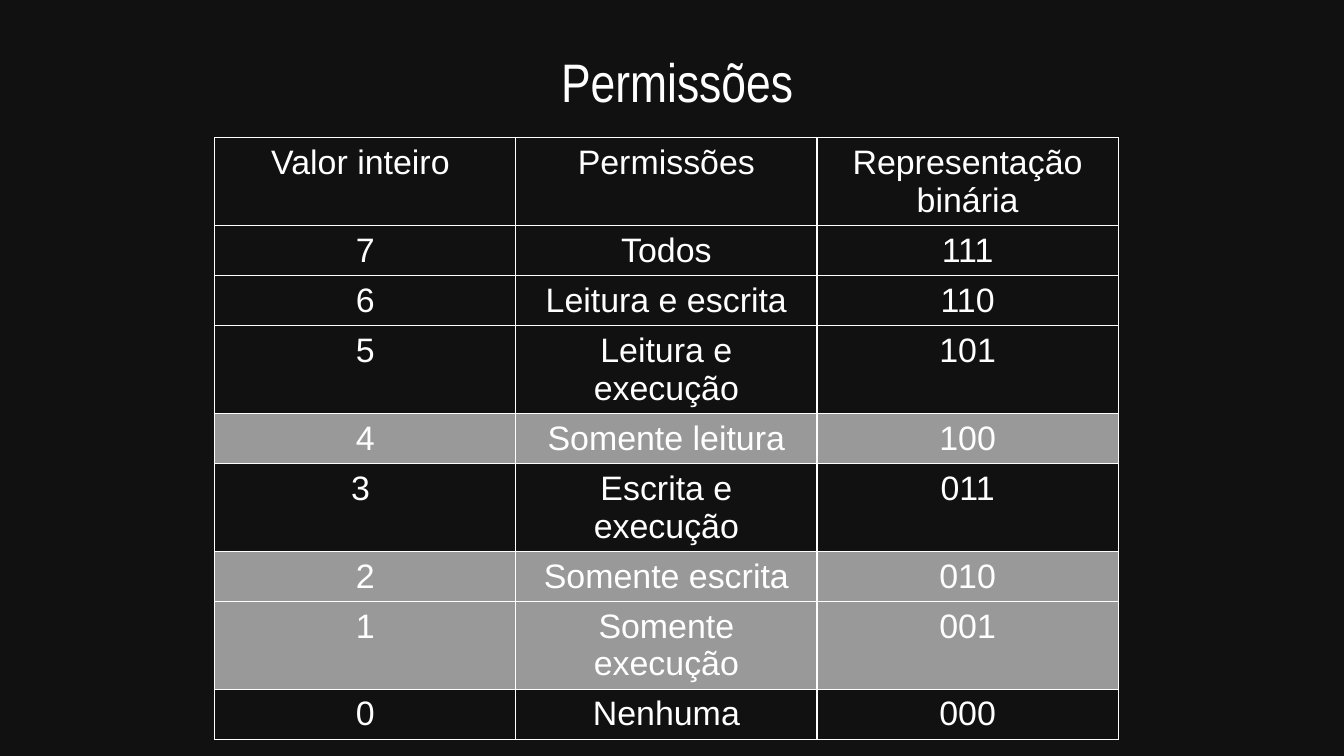
from lxml.etree import SubElement
from pptx import Presentation
from pptx.dml.color import RGBColor
from pptx.enum.text import MSO_ANCHOR as Anchor, MSO_AUTO_SIZE as Fit, PP_ALIGN as Align
from pptx.oxml.ns import qn
from pptx.util import Inches, Pt

WHITE, DARK, GREY = "FFFFFF", "111111", "999999"


def paint(color, tone):
    color.rgb = RGBColor.from_string(tone)


def write(frame, text, font, size, align):
    par = frame.paragraphs[0]
    par.alignment = align
    run = par.add_run()
    run.text = text
    run.font.name = font
    run.font.size = Pt(size)
    paint(run.font.color, WHITE)


deck = Presentation()
deck.slide_width, deck.slide_height = Inches(11.02), Inches(6.2)
slide = deck.slides.add_slide(deck.slide_layouts[5])
back = slide.background.fill
back.solid()
paint(back.fore_color, DARK)

title = slide.shapes.title
title.left, title.top = Inches(4.5), Inches(0.31)
title.width, title.height = Inches(2.53), Inches(0.7)
title.text_frame.auto_size = Fit.NONE
title.text_frame.vertical_anchor = Anchor.MIDDLE
write(title.text_frame, "Permissões", "Arial Narrow", 32, Align.LEFT)

# Each row: first cell, permission, binary form, height in inches
LOW, HIGH = 0.41, 0.72
rows = [
    ("Valor inteiro ", "Permissões", "Representação binária", HIGH),
    ("7", "Todos", "111", LOW),
    ("6", "Leitura e escrita", "110", LOW),
    ("5", "Leitura e execução", "101", HIGH),
    ("4", "Somente leitura", "100", LOW),
    ("3 ", "Escrita e execução", "011", HIGH),
    ("2", "Somente escrita", "010", LOW),
    ("1", "Somente execução", "001", HIGH),
    ("0", "Nenhuma", "000", LOW),
]
total = sum(row[-1] for row in rows)
table = slide.shapes.add_table(
    len(rows), 3, Inches(1.76), Inches(1.13), Inches(3 * 2.47), Inches(total)
).table
table.first_row = table.horz_banding = False
for col in table.columns:
    col.width = Inches(2.47)

for i, (*texts, height) in enumerate(rows):
    table.rows[i].height = Inches(height)
    for j, text in enumerate(texts):
        cell = table.cell(i, j)
        write(cell.text_frame, text, "Arial", 20, Align.CENTER)

        # Borders must come before the fill in the cell properties
        props = cell._tc.get_or_add_tcPr()
        for side in ("a:lnL", "a:lnR", "a:lnT", "a:lnB"):
            line = SubElement(props, qn(side), w=str(Pt(0.75)))
            solid = SubElement(line, qn("a:solidFill"))
            SubElement(solid, qn("a:srgbClr"), val=WHITE)

        # Rows with a single permission stand out in grey
        if texts[1].startswith("Somente"):
            cell.fill.solid()
            paint(cell.fill.fore_color, GREY)
        else:
            cell.fill.background()

deck.save("out.pptx")
